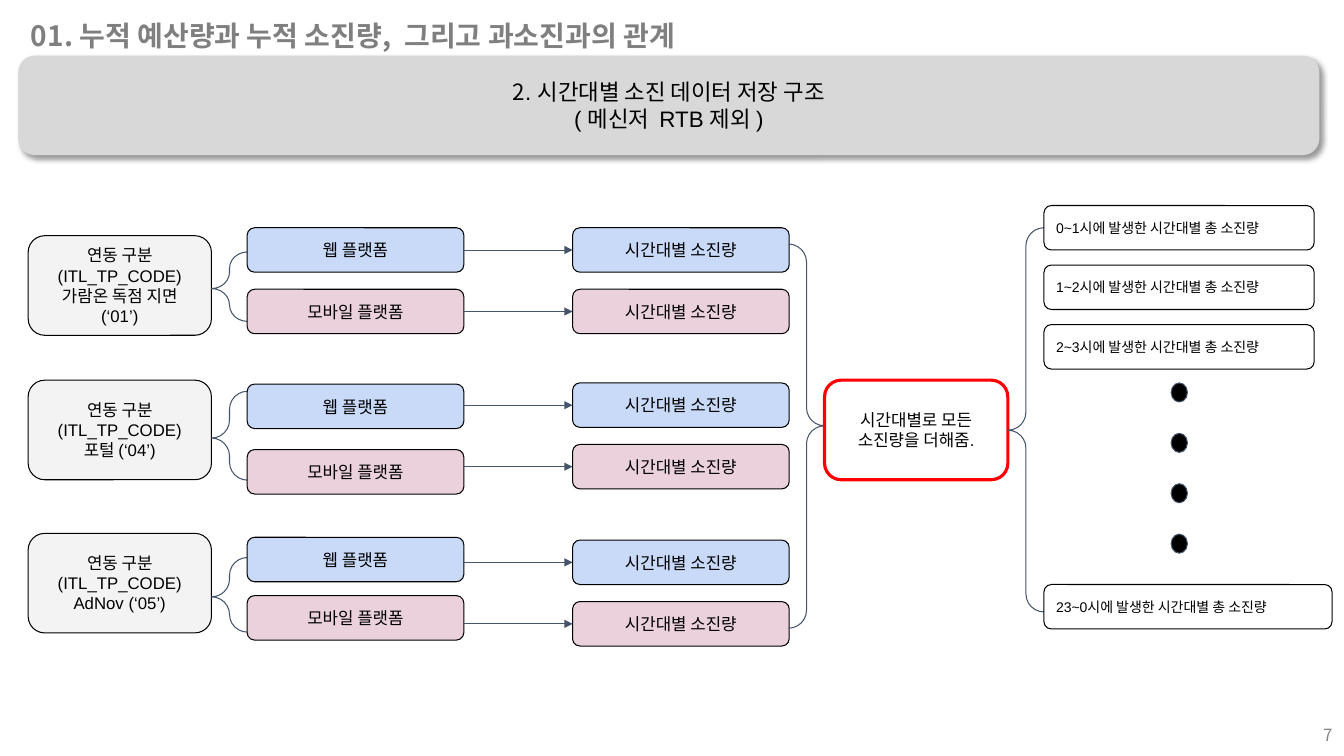
import pptx
import pptx.dml.color
import pptx.enum.shapes
import pptx.enum.text
import pptx.oxml
import pptx.oxml.ns
import pptx.util
from lxml import etree

Cm = pptx.util.Cm
Pt = pptx.util.Pt
SHAPE = pptx.enum.shapes.MSO_SHAPE
ALIGN = pptx.enum.text.PP_ALIGN
qn = pptx.oxml.ns.qn

COLORS = {
    "black": "000000", "title": "7F7F7F", "number": "888888",
    "banner": "D8D8D8", "code": "F3F3F3", "web": "C9DAF8",
    "mobile": "EAD1DC", "link": "44546A", "total": "FF0000",
}
ARIAL, NOTO = "Arial", "Noto Sans CJK KR"
PLATFORMS = [("웹 플랫폼", "web"), ("모바일 플랫폼", "mobile")]
BOX_W, BOX_H = 5.46, 1.12
USAGE_PITCH = 1.55
# Label, code box top, brace top and height, platform tops, first usage top
GROUPS = [
    ("가람온 독점 지면 (‘01’)", 5.94, 6.35, 1.75, (5.74, 7.29), 5.74),
    ("포털 (‘04’)", 9.58, 9.86, 2.24, (9.68, 11.33), 9.65),
    ("AdNov (‘05’)", 13.44, 14.05, 1.88, (13.54, 15.01), 13.61),
]


def rgb(name):
    return pptx.dml.color.RGBColor.from_string(COLORS[name])


def style_run(r, size, font=ARIAL, color="black", bold=False):
    r.font.size, r.font.name, r.font.bold = Pt(size), font, bold
    r.font.color.rgb = rgb(color)
    ea = etree.SubElement(r.font._element, qn("a:ea"))
    ea.set("typeface", NOTO)


def write(sp, lines, size, align=ALIGN.CENTER, inset=0.25, **style):
    """Fill a shape with one paragraph per line, centred vertically."""
    tf = sp.text_frame
    tf.text = "\n".join(lines)
    tf.word_wrap = True
    tf.auto_size = pptx.enum.text.MSO_AUTO_SIZE.NONE
    tf.vertical_anchor = pptx.enum.text.MSO_ANCHOR.MIDDLE
    tf.margin_left = tf.margin_right = Cm(0.25)
    tf.margin_top = tf.margin_bottom = Cm(inset)
    for p in tf.paragraphs:
        p.alignment = align
        for r in p.runs:
            style_run(r, size, **style)


def add_shape(s, kind, x, y, w, h, fill=None, line="black", weight=0.75):
    sp = s.shapes.add_shape(kind, Cm(x), Cm(y), Cm(w), Cm(h))
    sp.shadow.inherit = False
    if fill:
        sp.fill.solid()
        sp.fill.fore_color.rgb = rgb(fill)
    else:
        sp.fill.background()
    if line:
        sp.line.color.rgb = rgb(line)
        sp.line.width = Pt(weight)
    else:
        sp.line.fill.background()
    return sp


def add_box(s, x, y, w, h, lines, size=12, align=ALIGN.CENTER, **look):
    sp = add_shape(s, SHAPE.FLOWCHART_ALTERNATE_PROCESS, x, y, w, h, **look)
    write(sp, lines, size, align)


def add_brace(s, x, y, h, rotation=0):
    sp = add_shape(s, SHAPE.LEFT_BRACE, x, y, 0.91, h, line="link")
    sp.adjustments[0], sp.adjustments[1] = 0.5, 0.527
    sp.rotation = rotation


def add_arrow(s, x1, x2, y):
    cx = s.shapes.add_connector(pptx.enum.shapes.MSO_CONNECTOR.STRAIGHT,
                                Cm(x1), Cm(y), Cm(x2), Cm(y))
    cx.line.color.rgb = rgb("link")
    cx.line.width = Pt(0.75)
    etree.SubElement(cx.line._get_or_add_ln(), qn("a:tailEnd")).set("type", "triangle")
    etree.SubElement(cx._element.spPr, qn("a:effectLst"))


def add_title(s, x, y, w, h):
    sp = s.shapes.title
    sp.left, sp.top, sp.width, sp.height = Cm(x), Cm(y), Cm(w), Cm(h)
    write(sp, ["01. 누적 예산량과 누적 소진량,  그리고 과소진과의 관계"], 20,
          ALIGN.LEFT, 0.13, font=NOTO, color="title", bold=True)
    pPr = sp.text_frame.paragraphs[0]._p.get_or_add_pPr()
    pPr.set("marL", str(Cm(0.97)))
    pPr.set("indent", str(-Cm(0.97)))


def add_banner(s, x, y, w, h):
    sp = add_shape(s, SHAPE.ROUNDED_RECTANGLE, x, y, w, h, "banner", None)
    write(sp, ["2", "( 메신저  RTB 제외 )"], 16, inset=0.13)
    p = sp.text_frame.paragraphs[0]
    p.runs[0].font.name = NOTO
    r = p.add_run()
    r.text = ". 시간대별 소진 데이터 저장 구조"
    style_run(r, 16)
    effects = sp._element.spPr.find(qn("a:effectLst"))
    shadow = etree.SubElement(effects, qn("a:outerShdw"), blurRad=str(Pt(4)),
                              dist=str(Pt(3)), dir="2700000", algn="tl", rotWithShape="0")
    color = etree.SubElement(shadow, qn("a:srgbClr"), val=COLORS["black"])
    etree.SubElement(color, qn("a:alpha"), val="40000")


def add_group(s, x, group):
    """Draw one code with its two platforms and their hourly usage."""
    label, code_y, brace_y, brace_h, platform_tops, usage_y = group
    platform_x, usage_x = x + 5.52, x + 13.72
    add_box(s, x, code_y, 4.62, 2.51,
            ["연동 구분 (ITL_TP_CODE)", label], fill="code")
    add_brace(s, x + 4.62, brace_y, brace_h)
    for i, (name, fill) in enumerate(PLATFORMS):
        y = usage_y + i * USAGE_PITCH
        add_box(s, platform_x, platform_tops[i], BOX_W, BOX_H, [name], fill=fill)
        add_arrow(s, platform_x + BOX_W, usage_x, y + BOX_H / 2)
        add_box(s, usage_x, y, BOX_W, BOX_H, ["시간대별 소진량"], fill=fill)


def add_total(s, x, y, w, h):
    add_brace(s, x - 0.91, 6.15, 9.68, rotation=180)
    add_box(s, x, y, w, h, ["시간대별로 모든 소진량을 더해줌."],
            line="total", weight=2.25)
    add_brace(s, x + w, 5.74, 9.68)


def add_hours(s, x, y, w):
    rows = [("0~1", y, w), ("1~2", y + 1.5, w), ("2~3", y + 3, w),
            ("23~0", y + 9.55, w + 0.45)]
    for hours, top, width in rows:
        add_box(s, x, top, width, BOX_H,
                [f"{hours}시에 발생한 시간대별 총 소진량"], 10, ALIGN.LEFT)
    for i in range(4):
        add_shape(s, SHAPE.FLOWCHART_CONNECTOR, x + w / 2 - 0.2,
                  y + 4.47 + i * 1.27, 0.41, 0.48, "black", "link")


def add_page_number(s, x, y, w, h):
    sp = s.shapes.add_textbox(Cm(x), Cm(y), Cm(w), Cm(h))
    write(sp, ["7"], 12, ALIGN.RIGHT, 0.13, font=NOTO, color="number")


def main():
    prs = pptx.Presentation()
    prs.slide_width, prs.slide_height = Cm(33.87), Cm(19.05)
    s = prs.slides.add_slide(prs.slide_layouts[5])
    add_title(s, 0.53, 0.33, 23.8, 1.12)
    add_banner(s, 0.46, 1.4, 32.79, 2.51)
    for group in GROUPS:
        add_group(s, 0.71, group)
    add_total(s, 20.78, 9.58, 4.62, 2.51)
    add_hours(s, 26.31, 5.18, 6.81)
    add_page_number(s, 26.21, 18.01, 7.62, 1.02)
    prs.save("out.pptx")


if __name__ == "__main__":
    main()
